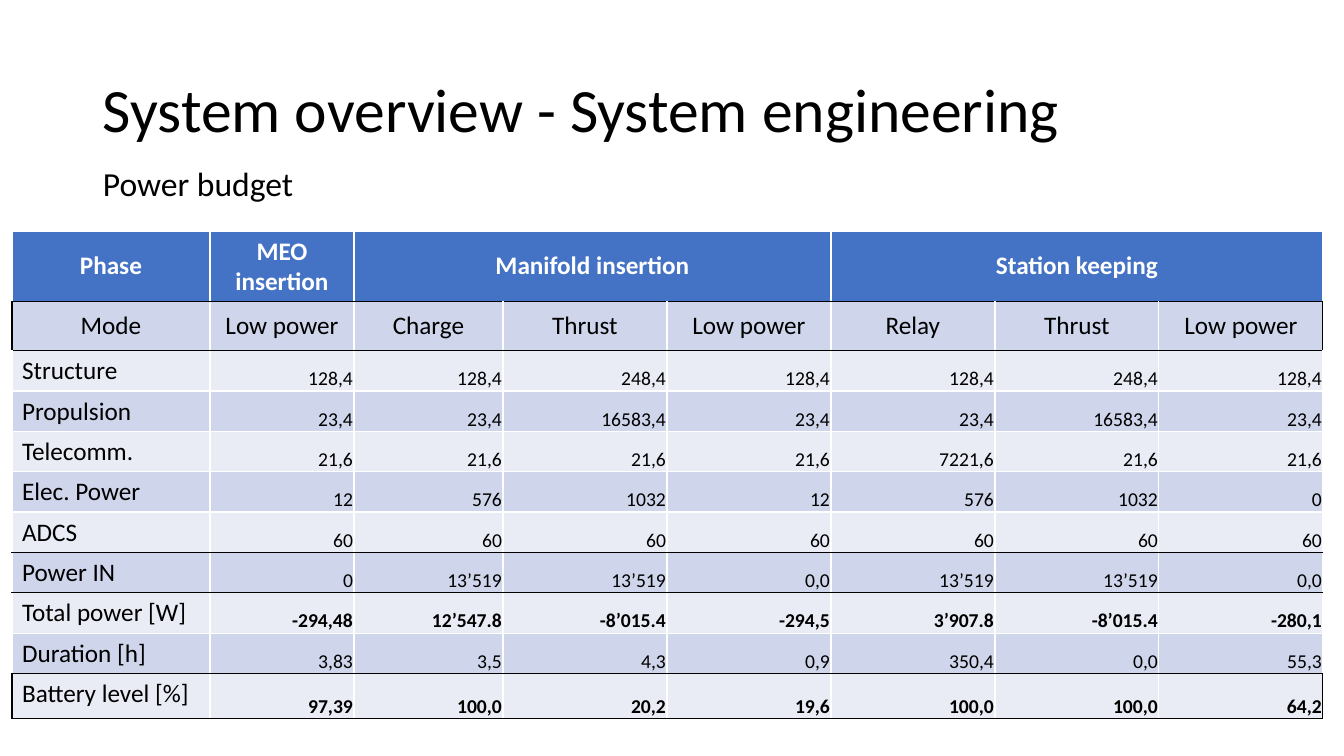
from lxml.etree import SubElement
from pptx import Presentation
from pptx.dml.color import RGBColor
from pptx.enum.text import MSO_ANCHOR, PP_ALIGN
from pptx.oxml.ns import qn
from pptx.util import Pt

PX = 12192000 // 1344
BLACK, WHITE, BLUE = "000000", "FFFFFF", "4472C4"
BANDS = ["E9EBF5", "CFD5EA"]

ROWS = [
    ["Phase", "MEO insertion", "Manifold insertion", "", "", "Station keeping", "", ""],
    ["Mode", "Low power", "Charge", "Thrust", "Low power", "Relay", "Thrust", "Low power"],
    ["Structure", "128,4", "128,4", "248,4", "128,4", "128,4", "248,4", "128,4"],
    ["Propulsion", "23,4", "23,4", "16583,4", "23,4", "23,4", "16583,4", "23,4"],
    ["Telecomm.", "21,6", "21,6", "21,6", "21,6", "7221,6", "21,6", "21,6"],
    ["Elec. Power", "12", "576", "1032", "12", "576", "1032", "0"],
    ["ADCS", "60", "60", "60", "60", "60", "60", "60"],
    ["Power IN", "0", "13’519", "13’519", "0,0", "13’519", "13’519", "0,0"],
    ["Total power [W]", "-294,48", "12’547.8", "-8’015.4", "-294,5", "3’907.8", "-8’015.4", "-280,1"],
    ["Duration [h]", "3,83", "3,5", "4,3", "0,9", "350,4", "0,0", "55,3"],
    ["Battery level [%]", "97,39", "100,0", "20,2", "19,6", "100,0", "100,0", "64,2"],
]
COLUMN_WIDTHS = [198, 144, 149] + [164] * 5
ROW_HEIGHTS = [69, 49] + [39] * 8 + [45]
MODE_ROW, TOTAL_ROW, BATTERY_ROW = 1, 8, 10
RULED_BELOW = {0, 1, 6, 7, 9, 10}
BOXED_ROWS = {MODE_ROW, BATTERY_ROW}


def color(code):
    return RGBColor.from_string(code)


def add_span(para, text, size, code=BLACK, bold=False):
    span = para.add_run()
    span.text = text
    span.font.name = "Calibri"
    span.font.size = Pt(size)
    span.font.bold = bold
    span.font.color.rgb = color(code)


deck = Presentation()
deck.slide_width, deck.slide_height = 1344 * PX, 756 * PX
page = deck.slides.add_slide(deck.slide_layouts[6])

# Headings
for text, size, top, width, height, anchor, spacing in [
    ("System overview - System engineering", 44, 40, 1159, 146, MSO_ANCHOR.MIDDLE, 0.9),
    ("Power budget", 24, 158, 679, 50, MSO_ANCHOR.TOP, 1.0),
]:
    box = page.shapes.add_textbox(93 * PX, top * PX, width * PX, height * PX)
    box.text_frame.word_wrap = True
    box.text_frame.vertical_anchor = anchor
    para = box.text_frame.paragraphs[0]
    para.line_spacing = spacing
    add_span(para, text, size)

# Power budget table
table = page.shapes.add_table(
    len(ROWS), len(COLUMN_WIDTHS), 12 * PX, 231 * PX,
    sum(COLUMN_WIDTHS) * PX, sum(ROW_HEIGHTS) * PX).table
for column, width in zip(table.columns, COLUMN_WIDTHS):
    column.width = width * PX
for row, height in zip(table.rows, ROW_HEIGHTS):
    row.height = height * PX
for first in (2, 5):
    table.cell(0, first).merge(table.cell(0, first + 2))

for r, values in enumerate(ROWS):
    for c, text in enumerate(values):
        cell = table.cell(r, c)
        para = cell.text_frame.paragraphs[0]
        if r <= MODE_ROW:
            cell.vertical_anchor = MSO_ANCHOR.MIDDLE
            para.alignment = PP_ALIGN.CENTER
        elif c > 0:
            cell.vertical_anchor = MSO_ANCHOR.BOTTOM
            cell.margin_left = cell.margin_right = cell.margin_top = PX
            cell.margin_bottom = 0
            para.alignment = PP_ALIGN.RIGHT
        if text:
            is_number = r > MODE_ROW and c > 0
            bold = r == 0 or (is_number and r in (TOTAL_ROW, BATTERY_ROW))
            add_span(para, text, 14 if is_number else 18, WHITE if r == 0 else BLACK, bold)

        boxed = r in BOXED_ROWS
        dark_sides = {
            "a:lnL": boxed and c == 0,
            "a:lnR": boxed and c == len(values) - 1,
            "a:lnT": r - 1 in RULED_BELOW,
            "a:lnB": r in RULED_BELOW,
        }
        properties = cell._tc.get_or_add_tcPr()
        for side, dark in dark_sides.items():
            line = SubElement(properties, qn(side), w=str(Pt(1)))
            fill = SubElement(line, qn("a:solidFill"))
            SubElement(fill, qn("a:srgbClr"), val=BLACK if dark else WHITE)
        cell.fill.solid()
        cell.fill.fore_color.rgb = color(BLUE if r == 0 else BANDS[r % 2])

deck.save("out.pptx")
